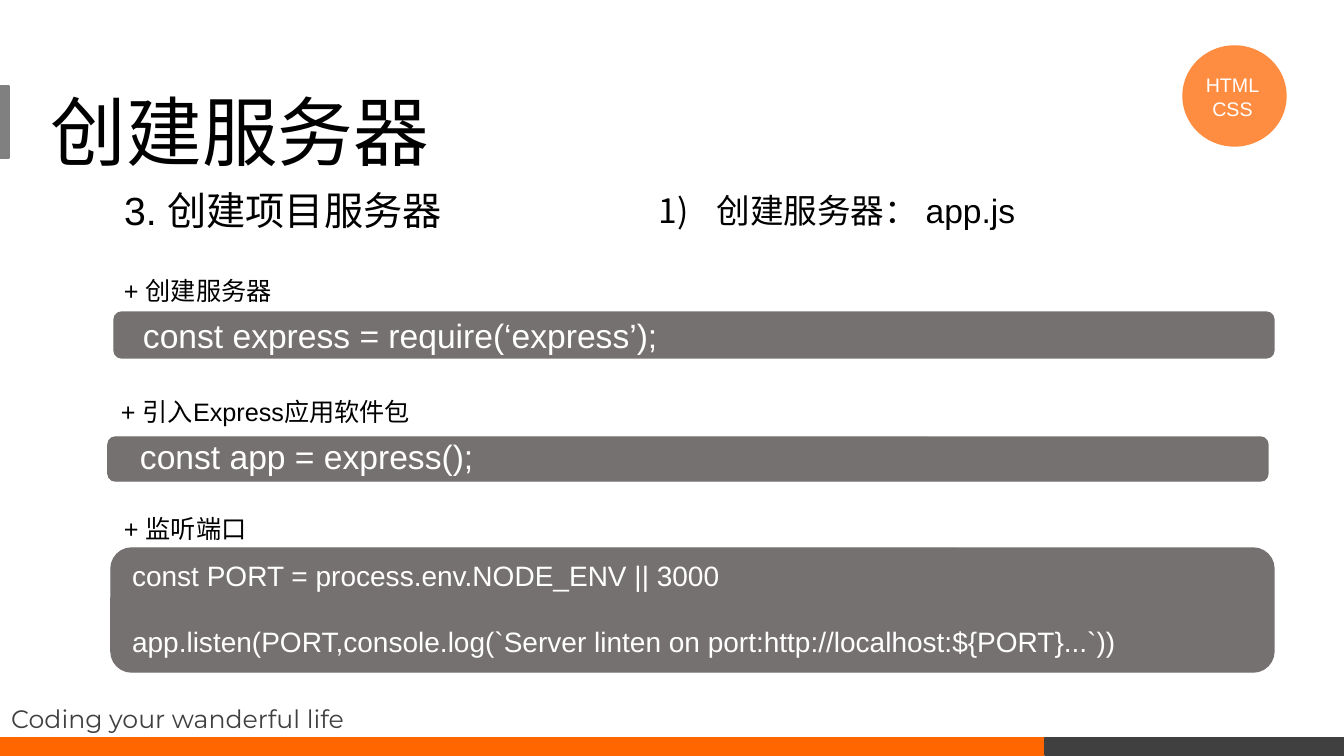
import pptx
import pptx.util
import pptx.dml.color
import pptx.enum.shapes
import pptx.enum.text
import lxml.etree

PX = 914400 / 100.8
INSET = 10
SHAPES = pptx.enum.shapes.MSO_SHAPE
ALIGN = pptx.enum.text.PP_ALIGN
ANCHOR = pptx.enum.text.MSO_ANCHOR
COLORS = {
    "orange": "FF6600",
    "badge": "FF8D41",
    "charcoal": "404040",
    "accent": "808080",
    "panel": "767171",
    "black": "000000",
    "white": "FFFFFF",
}
CODE_BLOCKS = [
    {"box": (114, 270, 1160, 88), "caption": "+ 创建服务器",
     "lines": ["const express = require(‘express’);"],
     "panel_top": 42, "code_box": (0, 40, 1160, 50), "size": 24, "indent": 19},
    {"box": (108, 391, 1160, 90), "caption": "+ 引入Express应用软件包",
     "lines": ["const app = express();"],
     "panel_top": 46, "code_box": (3, 40, 1160, 50), "size": 24, "indent": 19},
    {"box": (111, 508, 1163, 164), "caption": "+ 监听端口",
     "lines": ["const PORT = process.env.NODE_ENV || 3000",
               "app.listen(PORT,console.log(`Server linten on port:http://localhost:${PORT}...`))"],
     "panel_top": 40, "code_box": (3, 46, 1171, 112), "size": 20, "indent": 8},
]


def px(length):
    """Turn pixels into EMU."""
    return pptx.util.Emu(round(length * PX))


def rgb(name):
    """Look up a named colour."""
    return pptx.dml.color.RGBColor.from_string(COLORS[name])


def apply(target, values):
    """Set every attribute in values on target."""
    for attribute, value in values.items():
        setattr(target, attribute, value)


def add_block(slide, kind, box, color):
    """Draw a filled preset shape with a matching outline."""
    block = slide.shapes.add_shape(kind, *map(px, box))
    block.shadow.inherit = False
    block.fill.solid()
    block.fill.fore_color.rgb = rgb(color)
    block.line.color.rgb = rgb(color)
    block.line.width = pptx.util.Pt(1)
    return block


def add_text(slide, box, lines, size, color="black", font="Arial", indent=0,
             frame_format=None, paragraph_format=None):
    """Write lines of text in a box and return its paragraphs."""
    frame = slide.shapes.add_textbox(*map(px, box)).text_frame
    apply(frame, {"word_wrap": True, "margin_left": px(INSET + indent),
                  **(frame_format or {})})
    frame.text = "\n".join(lines)
    for paragraph in frame.paragraphs:
        apply(paragraph, paragraph_format or {})
        for run in paragraph.runs:
            apply(run.font, {"name": font, "size": pptx.util.Pt(size)})
            run.font.color.rgb = rgb(color)
    return frame.paragraphs


def add_footer(slide, box):
    """Place the motto above the two-colour bar."""
    left, top, width, height = box
    add_text(slide, (left, top, 356, 38), ["Coding your wanderful life"], 18,
             "charcoal", "Montserrat",
             paragraph_format={"alignment": ALIGN.RIGHT, "line_spacing": 0.7,
                               "space_before": pptx.util.Pt(10)})
    bar_top, bar_height, orange_width = top + 31, height - 31, 1046
    add_block(slide, SHAPES.RECTANGLE, (left, bar_top, orange_width, bar_height), "orange")
    dark_left = left + orange_width + 1
    add_block(slide, SHAPES.RECTANGLE,
              (dark_left, bar_top, left + width - dark_left, bar_height), "charcoal")


def add_title(slide, box):
    """Place the accent tab and the slide title."""
    left, top, width, height = box
    add_block(slide, SHAPES.RECTANGLE, (left - 10, top + 43, 11, 72), "accent")
    add_text(slide, box, ["创建服务器"], 54, font="Montserrat", indent=33,
             frame_format={"vertical_anchor": ANCHOR.BOTTOM},
             paragraph_format={"line_spacing": 1.3})


def add_badge(slide, box):
    """Place the round topic badge."""
    left, top, width, height = box
    add_block(slide, SHAPES.OVAL, box, "badge")
    add_text(slide, (left + 8, top + 22, 83, 57), ["HTML", "CSS"], 14, "white",
             paragraph_format={"alignment": ALIGN.CENTER})


def add_headings(slide, box):
    """Place the section heading and the numbered step beside it."""
    left, top, width, height = box
    add_text(slide, box, ["3. 创建项目服务器"], 28)
    step = add_text(slide, (left + 535, top + 4, 422, 50), [" 创建服务器： app.js"], 24)[0]
    properties = step._p.get_or_add_pPr()
    properties.set("marL", str(px(50)))
    properties.set("indent", str(-px(50)))
    for tag, name, value in (("buFont", "typeface", "+mj-ea"),
                             ("buAutoNum", "type", "arabicParenR")):
        bullet = lxml.etree.SubElement(properties, pptx.oxml.ns.qn(f"a:{tag}"))
        bullet.set(name, value)


def add_code_block(slide, box, caption, lines, panel_top, code_box, size, indent):
    """Place a caption above a rounded panel of code."""
    left, top, width, height = box
    code_left, code_top, code_width, code_height = code_box
    add_block(slide, SHAPES.ROUNDED_RECTANGLE,
              (left, top + panel_top, width, height - panel_top), "panel")
    code = add_text(slide, (left + code_left, top + code_top, code_width, code_height),
                    lines, size, "white", indent=indent)
    for later_line in code[1:]:
        later_line.space_before = pptx.util.Pt(23)
    add_text(slide, (left + code_left, top, width, 40), [caption], 18)


def main():
    """Build the slide and save it."""
    deck = pptx.Presentation()
    apply(deck, {"slide_width": px(1344), "slide_height": px(756)})
    slide = deck.slides.add_slide(deck.slide_layouts[6])
    add_footer(slide, (-2, 707, 1346, 48))
    add_title(slide, (8, 43, 1005, 138))
    add_badge(slide, (1183, 46, 103, 100))
    add_headings(slide, (114, 181, 1137, 57))
    for block in CODE_BLOCKS:
        add_code_block(slide, **block)
    deck.save("out.pptx")


if __name__ == "__main__":
    main()
